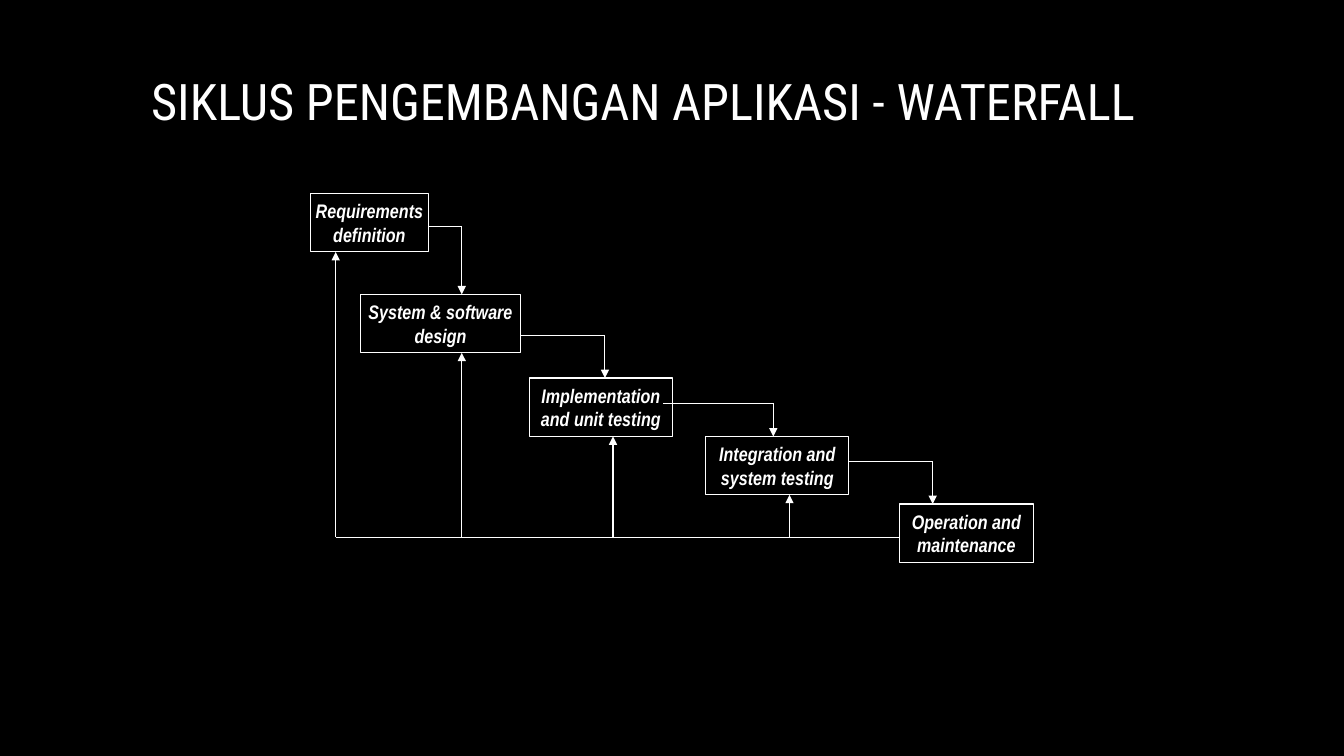
from lxml import etree
from pptx import Presentation
from pptx.dml.color import RGBColor
from pptx.enum import shapes, text
from pptx.oxml import ns
from pptx.util import Inches, Pt

TITLE = "SIKLUS PENGEMBANGAN APLIKASI - WATERFALL"
STAGES = [
    ("Requirements\ndefinition", 3.08, 1.92, 1.17),
    ("System & software\ndesign", 3.58, 2.92, 1.58),
    ("Implementation\nand unit testing", 5.25, 3.75, 1.42),
    ("Integration and\nsystem testing", 7, 4.33, 1.42),
    ("Operation and\nmaintenance", 8.92, 5, 1.33),
]
STEPS = [(4.25, 2.25, 4.58), (5.17, 3.33, 6), (6.58, 4, 7.67), (8.42, 4.58, 9.25)]
BACKS = [3.33, 4.58, 6.08, 7.83]
HIGH = 0.58
BASE = 5.33
BLACK = RGBColor(0, 0, 0)
WHITE = RGBColor(255, 255, 255)

deck = Presentation()
deck.slide_width, deck.slide_height = Inches(13.33), Inches(7.5)
slide = deck.slides.add_slide(deck.slide_layouts[6])
slide.background.fill.solid()
slide.background.fill.fore_color.rgb = BLACK


def write(shape, words, size, font, bold=False, wrap=True,
          align=text.PP_ALIGN.LEFT, anchor=text.MSO_ANCHOR.MIDDLE):
    frame = shape.text_frame
    frame.word_wrap = wrap
    frame.vertical_anchor = anchor
    frame.text = words
    for para in frame.paragraphs:
        para.alignment = align
        for run in para.runs:
            run.font.size = Pt(size)
            run.font.name = font
            run.font.bold = run.font.italic = bold
            run.font.color.rgb = WHITE


def draw(start, end, tip=None):
    line = slide.shapes.add_connector(
        shapes.MSO_CONNECTOR.STRAIGHT, *map(Inches, start + end))
    line.line.color.rgb = WHITE
    line.line.width = Pt(0.75)
    if tip:
        etree.SubElement(line.line._get_or_add_ln(), ns.qn(tip), type="triangle")
    etree.SubElement(line._element.spPr, ns.qn("a:effectLst"))


title = slide.shapes.add_textbox(*map(Inches, (1.4, 0.64, 9.98, 0.7)))
write(title, TITLE, 36, "Roboto Condensed", anchor=text.MSO_ANCHOR.BOTTOM)

for words, left, top, wide in STAGES:
    box = slide.shapes.add_shape(
        shapes.MSO_SHAPE.RECTANGLE, *map(Inches, (left, top, wide, HIGH)))
    box.shadow.inherit = False
    box.fill.solid()
    box.fill.fore_color.rgb = BLACK
    box.line.color.rgb = WHITE
    box.line.width = Pt(0.75)
    write(box, words, 14, "Arial Narrow", bold=True, wrap=False,
          align=text.PP_ALIGN.CENTER)

draw((BACKS[0], BASE), (STAGES[-1][1], BASE))
for x, stage in zip(BACKS, STAGES):
    draw((x, stage[2] + HIGH), (x, BASE), "a:headEnd")
for (x, y, turn), stage in zip(STEPS, STAGES[1:]):
    draw((x, y), (turn, y))
    draw((turn, y), (turn, stage[2]), "a:tailEnd")

deck.save("out.pptx")
